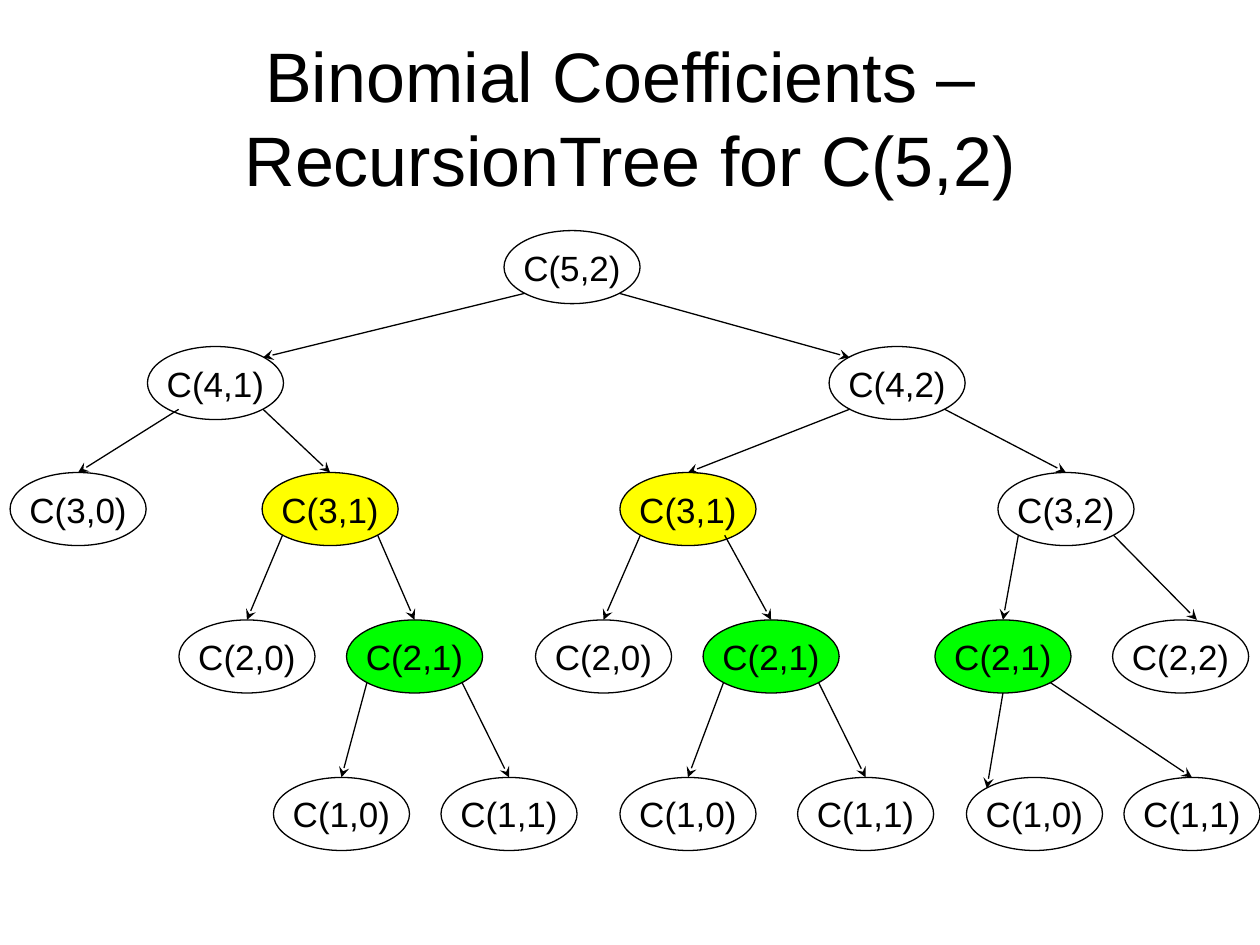
from lxml.etree import SubElement
from pptx import Presentation
from pptx.dml.color import RGBColor
from pptx.enum.shapes import MSO_CONNECTOR, MSO_SHAPE
from pptx.enum.text import MSO_ANCHOR, PP_ALIGN
from pptx.oxml.ns import qn
from pptx.util import Inches, Pt

FONT = "Arial"
BLACK, WHITE, YELLOW, GREEN = "000000", "FFFFFF", "FFFF00", "00FF00"
FILLS = {"C(3,1)": YELLOW, "C(2,1)": GREEN}
NODE_W, NODE_H = 1.08, 0.58
LEVEL_TOPS = [1.83, 2.75, 3.75, 4.92, 6.17]

# Points on a node, as fractions of its width and height
TOP, BOTTOM = (0.5, 0), (0.5, 1)
TOP_LEFT, TOP_RIGHT = (0.15, 0.15), (0.85, 0.15)
LOW_LEFT, LOW_RIGHT = (0.15, 0.86), (0.85, 0.86)
INNER_LEFT, INNER_RIGHT = (0.23, 0.86), (0.77, 0.86)
TOP_OFFSET = (0.62, 0)

# Each node: label, left edge, children
TREE = ("C(5,2)", 4, [
    ("C(4,1)", 1.17, [
        ("C(3,0)", 0.08, []),
        ("C(3,1)", 2.08, [
            ("C(2,0)", 1.42, []),
            ("C(2,1)", 2.75, [("C(1,0)", 2.17, []), ("C(1,1)", 3.5, [])]),
        ]),
    ]),
    ("C(4,2)", 6.58, [
        ("C(3,1)", 4.92, [
            ("C(2,0)", 4.25, []),
            ("C(2,1)", 5.58, [("C(1,0)", 4.92, []), ("C(1,1)", 6.33, [])]),
        ]),
        ("C(3,2)", 7.92, [
            ("C(2,1)", 7.42, [("C(1,0)", 7.67, []), ("C(1,1)", 8.92, [])]),
            ("C(2,2)", 8.83, []),
        ]),
    ]),
])

# Arrows that leave or arrive elsewhere, by level and left edge of the child
SPECIAL_ENDS = {
    (1, 1.17): (LOW_LEFT, TOP_RIGHT),
    (1, 6.58): (LOW_RIGHT, TOP_LEFT),
    (2, 0.08): (INNER_LEFT, TOP),
    (3, 5.58): (INNER_RIGHT, TOP),
    (3, 8.83): (LOW_RIGHT, TOP_OFFSET),
    (4, 7.67): (BOTTOM, TOP_LEFT),
}


def rgb(value):
    return RGBColor.from_string(value)


def add_run(p, text, size):
    r = p.add_run()
    r.text = text
    r.font.name = FONT
    r.font.size = Pt(size)
    r.font.color.rgb = rgb(BLACK)


def set_title(slide, lines):
    sp = slide.shapes.title
    sp.left, sp.top, sp.width, sp.height = map(Inches, (0.5, 0.3, 9, 1.25))
    tf = sp.text_frame
    tf.vertical_anchor = MSO_ANCHOR.MIDDLE
    p = tf.paragraphs[0]
    p.alignment = PP_ALIGN.CENTER
    for i, line in enumerate(lines):
        if i:
            p.add_line_break()
        add_run(p, line, 40)


def add_node(slide, label, left, top):
    sp = slide.shapes.add_shape(MSO_SHAPE.OVAL, Inches(left), Inches(top),
                                Inches(NODE_W), Inches(NODE_H))
    sp.shadow.inherit = False
    if label in FILLS:
        sp.fill.solid()
        sp.fill.fore_color.rgb = rgb(FILLS[label])
    else:
        sp.fill.background()
    sp.line.color.rgb = rgb(BLACK)
    sp.line.width = Pt(0.75)
    tf = sp.text_frame
    tf.word_wrap = False
    tf.vertical_anchor = MSO_ANCHOR.MIDDLE
    p = tf.paragraphs[0]
    p.alignment = PP_ALIGN.CENTER
    add_run(p, label, 20)


def point_on(left, top, site):
    return Inches(left + site[0] * NODE_W), Inches(top + site[1] * NODE_H)


def add_arrow(slide, start, end):
    line = slide.shapes.add_connector(MSO_CONNECTOR.STRAIGHT, *start, *end)
    line.line.color.rgb = rgb(BLACK)
    line.line.width = Pt(0.75)
    SubElement(line.line._get_or_add_ln(), qn("a:tailEnd"),
               type="stealth", w="med", len="med")
    SubElement(line._element.spPr, qn("a:effectLst"))


def add_tree(slide, node, level=0):
    """Draw a node, then its subtrees and the arrows that lead to them."""
    label, left, children = node
    top = LEVEL_TOPS[level]
    add_node(slide, label, left, top)
    for child, side in zip(children, (LOW_LEFT, LOW_RIGHT)):
        add_tree(slide, child, level + 1)
        child_left, child_top = child[1], LEVEL_TOPS[level + 1]
        begin, end = SPECIAL_ENDS.get((level + 1, child_left), (side, TOP))
        add_arrow(slide, point_on(left, top, begin),
                  point_on(child_left, child_top, end))


def main():
    prs = Presentation()
    prs.slide_width, prs.slide_height = Inches(10), Inches(7.5)
    slide = prs.slides.add_slide(prs.slide_layouts[5])
    slide.background.fill.solid()
    slide.background.fill.fore_color.rgb = rgb(WHITE)
    set_title(slide, ["Binomial Coefficients – ", "RecursionTree for C(5,2)"])
    add_tree(slide, TREE)
    prs.save("out.pptx")


if __name__ == "__main__":
    main()
